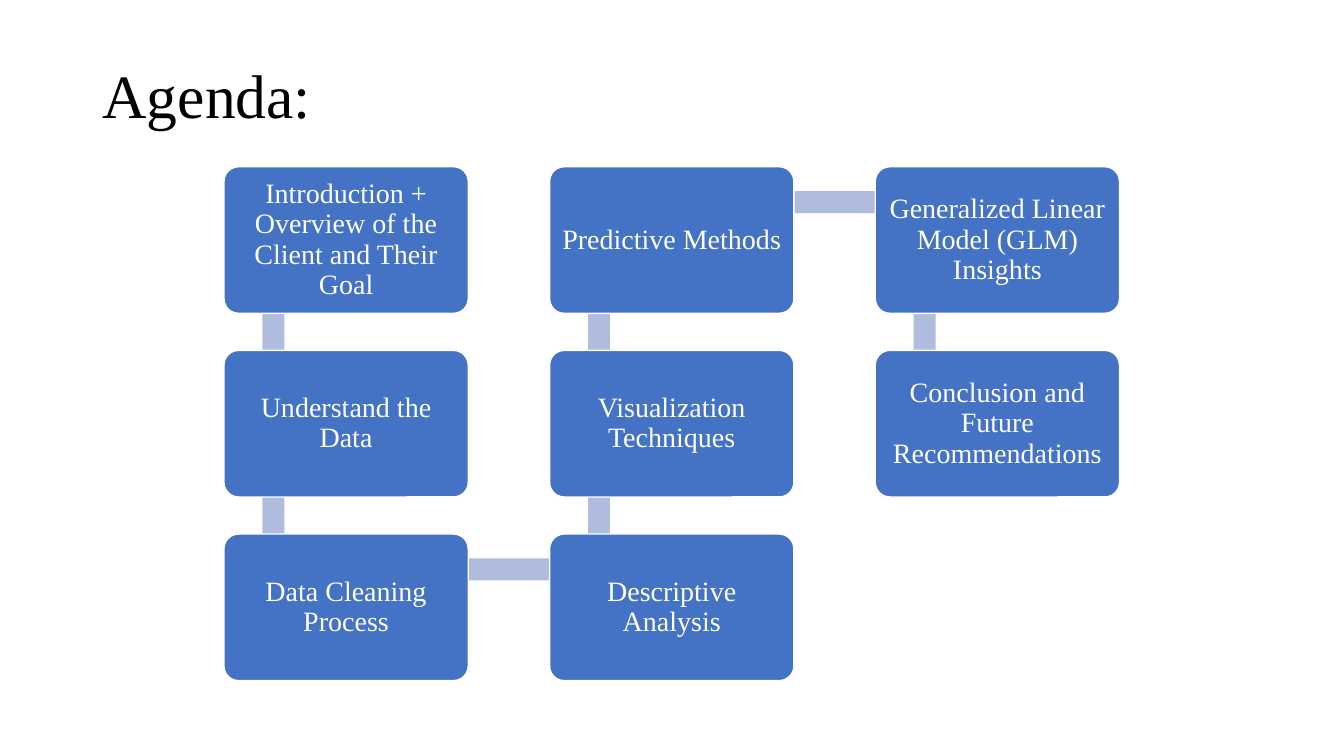
"""Build an agenda slide with a snaking path of topic boxes."""
import pptx
import pptx.dml.color
import pptx.enum.shapes
import pptx.enum.text
import pptx.util

Pt = pptx.util.Pt
SHAPES = pptx.enum.shapes.MSO_SHAPE
ALIGN = pptx.enum.text.PP_ALIGN
MIDDLE = pptx.enum.text.MSO_ANCHOR.MIDDLE

BLACK = pptx.dml.color.RGBColor(0x00, 0x00, 0x00)
WHITE = pptx.dml.color.RGBColor(0xFF, 0xFF, 0xFF)
BLUE = pptx.dml.color.RGBColor(0x44, 0x72, 0xC4)
PALE_BLUE = pptx.dml.color.RGBColor(0xB0, 0xBC, 0xDE)
FONT = "Times New Roman"

ROWS = 3
GRID_LEFT, GRID_TOP = 160, 119.1
BOX_WIDTH, BOX_HEIGHT = 174.5, 104.7
COLUMN_STEP, ROW_STEP = 232.6, 131.2
BAR_OFFSET_X, BAR_OFFSET_Y = 35.3, 25.3
BAR_THICKNESS = 15.7

TOPICS = [
    "Introduction + Overview of the Client and Their Goal",
    "Understand the Data",
    "Data Cleaning Process",
    "Descriptive Analysis",
    "Visualization Techniques",
    "Predictive Methods",
    "Generalized Linear Model (GLM) Insights",
    "Conclusion and Future Recommendations",
]


def box_corner(index):
    """Return the left and top of a box; odd columns run upwards."""
    column, step = divmod(index, ROWS)
    row = ROWS - 1 - step if column % 2 else step
    return GRID_LEFT + column * COLUMN_STEP, GRID_TOP + row * ROW_STEP


def set_text(frame, text, size, color, alignment):
    """Write one formatted, vertically centred paragraph."""
    frame.text = text
    frame.word_wrap = True
    frame.auto_size = pptx.enum.text.MSO_AUTO_SIZE.NONE
    frame.vertical_anchor = MIDDLE
    para = frame.paragraphs[0]
    para.alignment = alignment
    para.line_spacing = 0.9
    para.font.name = FONT
    para.font.size = Pt(size)
    para.font.color.rgb = color


def add_block(slide, kind, left, top, width, height, color):
    """Add a filled shape without shadow."""
    block = slide.shapes.add_shape(kind, Pt(left), Pt(top), Pt(width), Pt(height))
    block.shadow.inherit = False
    block.fill.solid()
    block.fill.fore_color.rgb = color
    return block


def add_bar(slide, start, end):
    """Add the bar that links two neighbouring boxes."""
    left = min(start[0], end[0]) + BAR_OFFSET_X
    top = min(start[1], end[1]) + BAR_OFFSET_Y
    width = abs(end[0] - start[0])
    height = abs(end[1] - start[1])
    if width:
        top -= BAR_THICKNESS / 2
    else:
        left -= BAR_THICKNESS / 2
    bar = add_block(slide, SHAPES.RECTANGLE, left, top,
                    width or BAR_THICKNESS, height or BAR_THICKNESS, PALE_BLUE)
    bar.line.fill.background()


def add_topic(slide, corner, text):
    """Add a rounded topic box."""
    box = add_block(slide, SHAPES.ROUNDED_RECTANGLE, *corner,
                    BOX_WIDTH, BOX_HEIGHT, BLUE)
    box.adjustments[0] = 0.1
    box.line.color.rgb = WHITE
    box.line.width = Pt(1)
    frame = box.text_frame
    frame.margin_left = frame.margin_right = Pt(5)
    frame.margin_top = frame.margin_bottom = Pt(5)
    set_text(frame, text, 20, WHITE, ALIGN.CENTER)


def set_title(slide, text):
    """Place and format the slide title."""
    title = slide.shapes.title
    title.left, title.top = Pt(66), Pt(28.75)
    title.width, title.height = Pt(828), Pt(82.8)
    set_text(title.text_frame, text, 44, BLACK, ALIGN.LEFT)


def main():
    """Build and save the deck."""
    deck = pptx.Presentation()
    deck.slide_width, deck.slide_height = Pt(960), Pt(540)
    slide = deck.slides.add_slide(deck.slide_layouts.get_by_name("Title Only"))
    set_title(slide, "Agenda:")
    corners = [box_corner(index) for index in range(len(TOPICS))]
    for start, end in zip(corners, corners[1:]):
        add_bar(slide, start, end)
    for corner, topic in zip(corners, TOPICS):
        add_topic(slide, corner, topic)
    deck.save("out.pptx")


if __name__ == "__main__":
    main()
